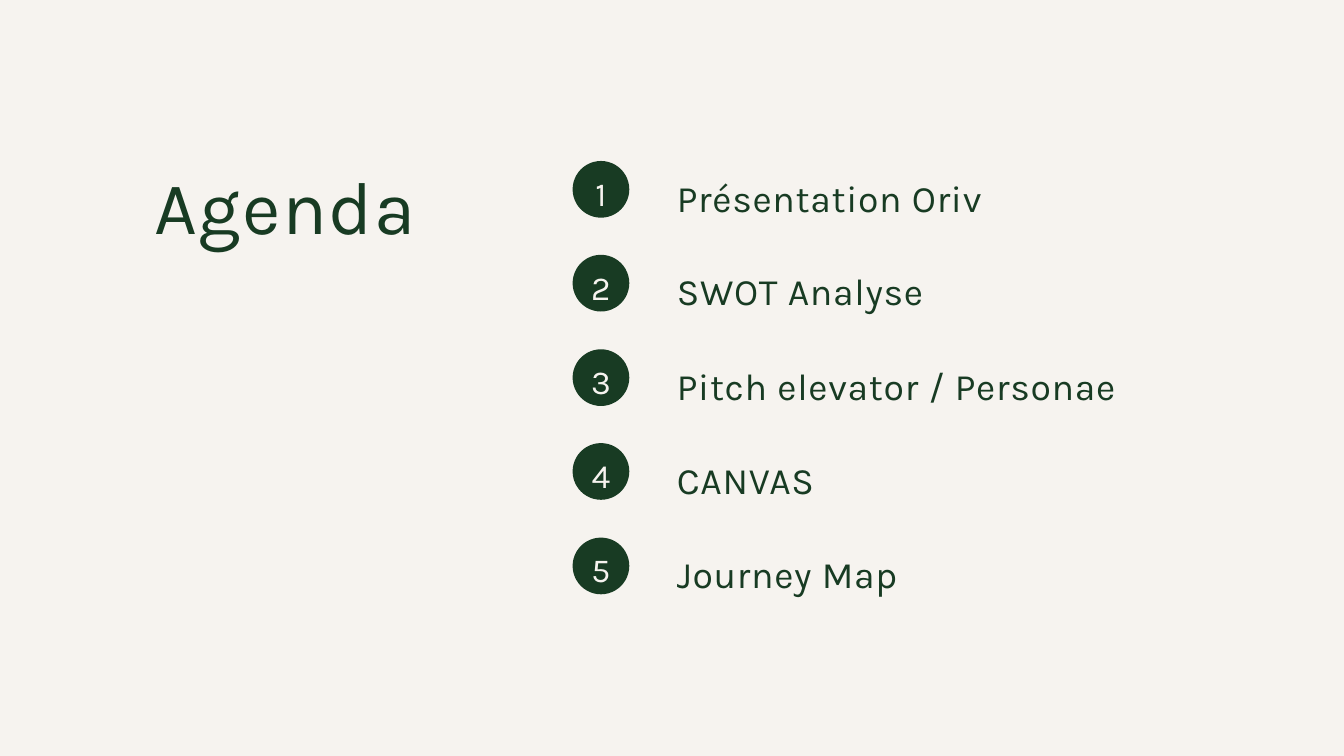
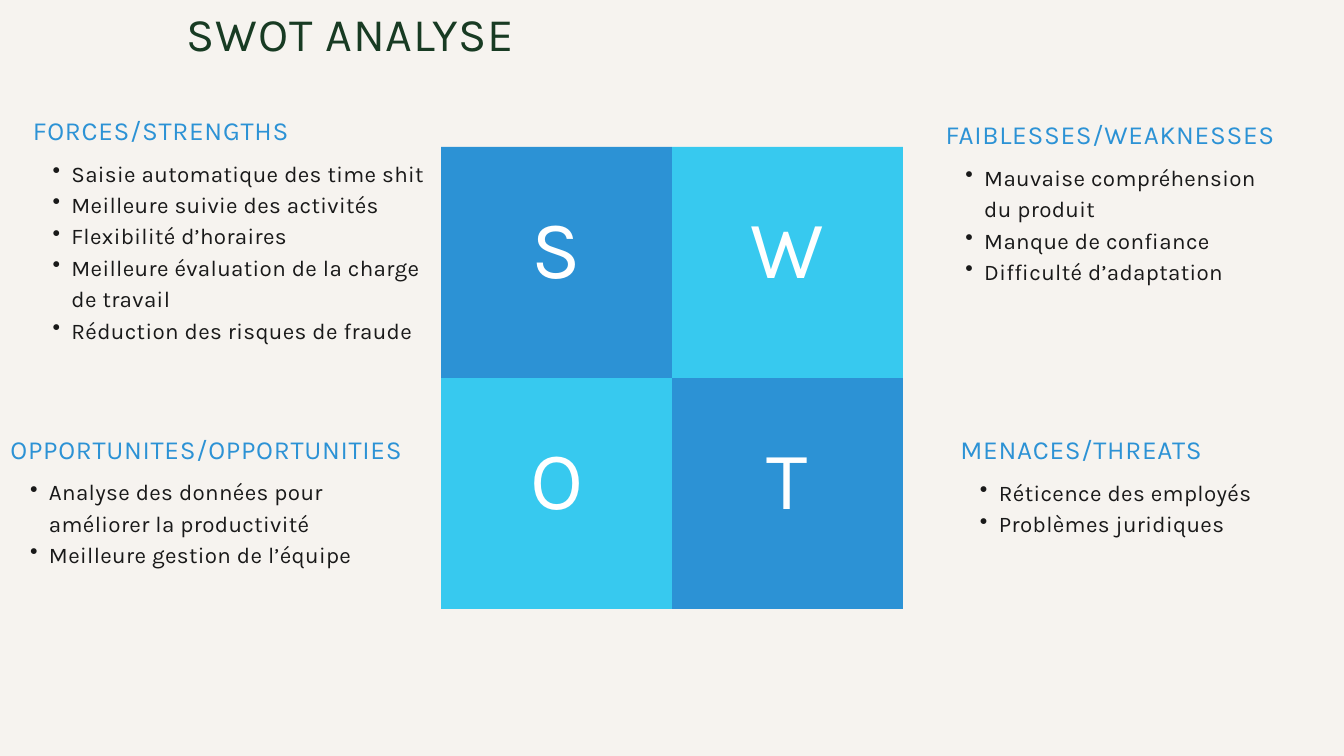
"""Build the agenda slide and the SWOT analysis slide."""
from lxml import etree
from pptx import Presentation
from pptx.dml.color import RGBColor
from pptx.enum.shapes import MSO_SHAPE
from pptx.enum.text import MSO_ANCHOR, MSO_AUTO_SIZE, PP_ALIGN
from pptx.oxml.ns import qn
from pptx.util import Emu, Pt

OVAL, RECTANGLE = MSO_SHAPE.OVAL, MSO_SHAPE.RECTANGLE
TOP, MIDDLE = MSO_ANCHOR.TOP, MSO_ANCHOR.MIDDLE
LEFT, CENTER = PP_ALIGN.LEFT, PP_ALIGN.CENTER
NO_FIT = MSO_AUTO_SIZE.NONE

EMU_PER_PX = 9525
WIDTH, HEIGHT = 1920, 1080
FONT = "Karla"
TITLE_ONLY = 5
COLORS = {
    "cream": "F6F3EF",
    "green": "183B23",
    "blue": "2C92D5",
    "cyan": "37C9EF",
    "ink": "191919",
    "white": "FFFFFF",
}

AGENDA = [
    "Présentation Oriv",
    "SWOT Analyse",
    "Pitch elevator / Personae",
    "CANVAS",
    "Journey Map",
]
AGENDA_SPAN = 538

SWOT_SIDE = 330
SWOT_LEFT, SWOT_TOP = 630, 210
QUADRANTS = [
    ("FORCES/STRENGTHS", (47, 160, 565, 350), [
        "Saisie automatique des time shit",
        "Meilleure suivie des activités",
        "Flexibilité d’horaires",
        "Meilleure évaluation de la charge de travail",
        "Réduction des risques de fraude",
    ]),
    ("FAIBLESSES/WEAKNESSES", (1351, 166, 482, 174), [
        "Mauvaise compréhension du produit",
        "Manque de confiance",
        "Difficulté d’adaptation",
    ]),
    ("OPPORTUNITES/OPPORTUNITIES", (15, 615, 597, 131), [
        "Analyse des données pour améliorer la productivité",
        "Meilleure gestion de l’équipe",
    ]),
    ("MENACES/THREATS", (1372, 616, 440, 86), [
        "Réticence des employés",
        "Problèmes juridiques",
    ]),
]


def px(length):
    """Turn px into EMU."""
    return Emu(length * EMU_PER_PX)


def rgb(name):
    """Look up a named colour."""
    return RGBColor.from_string(COLORS[name])


class Deck:
    """Hold the shared style and the current slide."""

    def __init__(self):
        """Open an empty deck with the shared background."""
        self.prs = Presentation()
        self.prs.slide_width, self.prs.slide_height = px(WIDTH), px(HEIGHT)
        background = self.prs.slide_master.background.fill
        background.solid()
        background.fore_color.rgb = rgb("cream")
        self.slide = None

    def start(self, title, box, size, leading, tracking):
        """Add a slide and format its title."""
        self.slide = self.prs.slides.add_slide(self.prs.slide_layouts[TITLE_ONLY])
        heading = self.slide.shapes.title
        heading.left, heading.top, heading.width, heading.height = map(px, box)
        self.set_text(heading, [title], size, "green", leading, tracking)

    def set_text(self, shape, lines, size, color, leading=None, tracking=0,
                 align=LEFT, anchor=TOP, insets=(0, 0, 0, 0), bullets=False):
        """Fill a shape with evenly styled paragraphs."""
        frame = shape.text_frame
        frame.word_wrap = True
        frame.auto_size = NO_FIT
        frame.vertical_anchor = anchor
        (frame.margin_left, frame.margin_top,
         frame.margin_right, frame.margin_bottom) = map(px, insets)
        frame.text = "\n".join(lines)
        for paragraph in frame.paragraphs:
            paragraph.alignment = align
            if leading:
                paragraph.line_spacing = Pt(leading)
            properties = paragraph._p.get_or_add_pPr()
            if bullets:
                properties.set("marL", str(px(55)))
                properties.set("indent", str(px(-27)))
                etree.SubElement(properties, qn("a:buChar"), char="•")
            font = paragraph.font
            font.name, font.size, font.bold = FONT, Pt(size), False
            font.color.rgb = rgb(color)
            properties.find(qn("a:defRPr")).set("spc", str(round(tracking * 100)))

    def text(self, lines, box, size, color, leading, tracking, bullets=False):
        """Add a text box."""
        shape = self.slide.shapes.add_textbox(*map(px, box))
        self.set_text(shape, lines, size, color, leading, tracking, bullets=bullets)

    def badge(self, kind, label, box, fill, size, color, **style):
        """Add a filled shape with a centred label."""
        shape = self.slide.shapes.add_shape(kind, *map(px, box))
        shape.shadow.inherit = False
        shape.fill.solid()
        shape.fill.fore_color.rgb = rgb(fill)
        shape.line.fill.background()
        self.set_text(shape, [label], size, color, align=CENTER, **style)


def add_agenda(deck):
    """Build the numbered agenda."""
    deck.start("Agenda", (221, 228, 447, 129), 80, 96, 1.5)
    for row, topic in enumerate(AGENDA):
        offset = AGENDA_SPAN * row // (len(AGENDA) - 1)
        deck.text([topic], (967, 207 + offset, 769, 96), 40, "green", 80, 0.8)
        deck.badge(OVAL, str(row + 1), (818, 230 + offset, 81, 81), "green",
                   36, "cream", tracking=0.7, insets=(0, 5, 0, 0))


def add_swot(deck):
    """Build the SWOT grid and its four lists."""
    deck.start("SWOT ANALYSE", (267, 14, 528, 77), 50, 55, 0.9)
    for index, letter in enumerate("SWOT"):
        row, column = divmod(index, 2)
        square = (SWOT_LEFT + column * SWOT_SIDE, SWOT_TOP + row * SWOT_SIDE,
                  SWOT_SIDE, SWOT_SIDE)
        deck.badge(RECTANGLE, letter, square, "blue" if row == column else "cyan",
                   88, "white", leading=123.2, anchor=MIDDLE, insets=(6, 6, 6, 78))
    for heading, (left, top, width, height), points in QUADRANTS:
        deck.text([heading], (left, top, width, 46), 28, "blue", 36.4, 0.8)
        deck.text(points, (left, top + 62, width, height), 24, "ink", 33.6, 0.4,
                  bullets=True)


def main():
    """Build and save the deck."""
    deck = Deck()
    add_agenda(deck)
    add_swot(deck)
    deck.prs.save("out.pptx")


if __name__ == "__main__":
    main()
